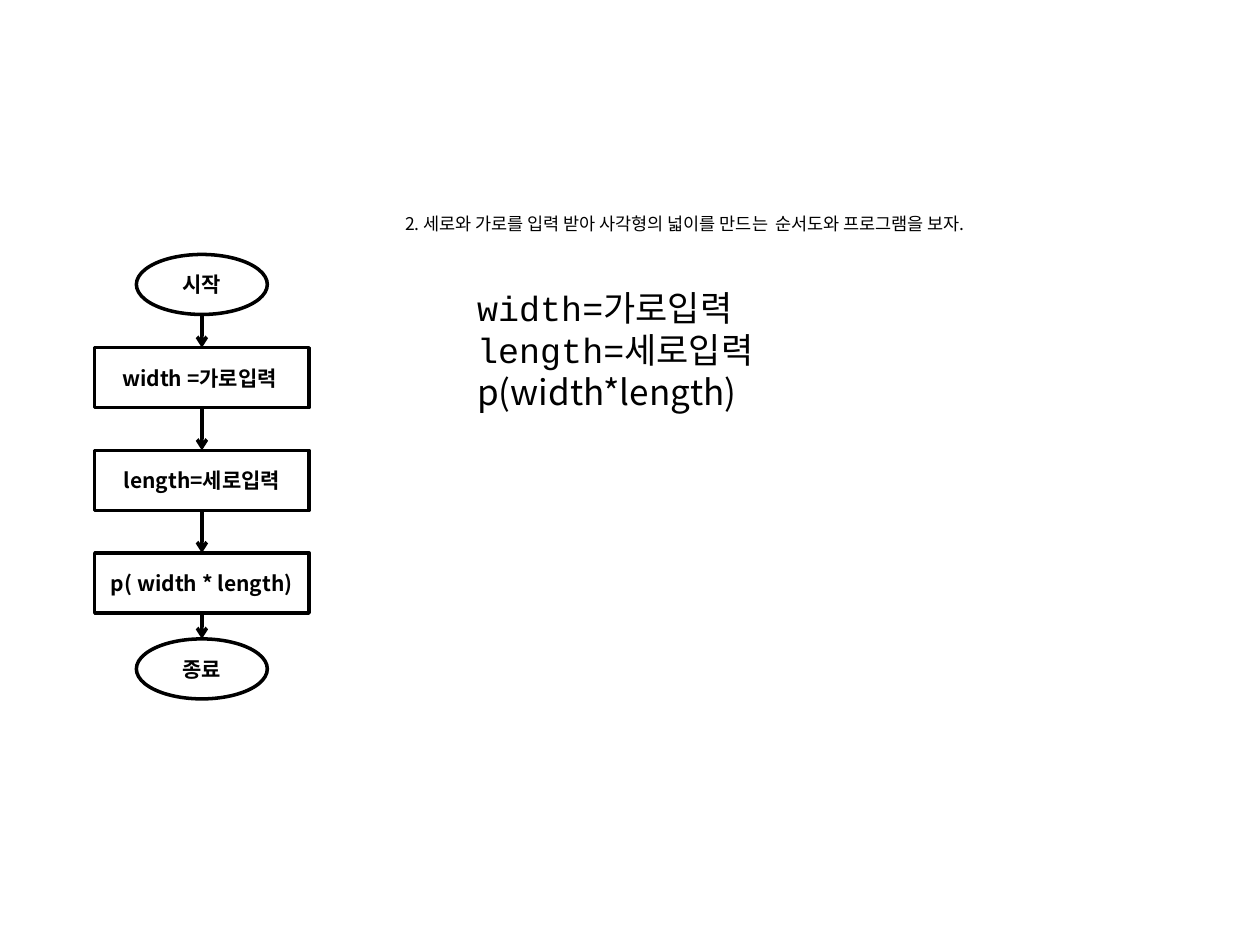
from lxml import etree
from pptx import Presentation
from pptx.dml.color import RGBColor
from pptx.enum.shapes import MSO_CONNECTOR, MSO_SHAPE
from pptx.enum.text import MSO_ANCHOR, PP_ALIGN
from pptx.oxml.ns import qn
from pptx.util import Cm, Pt

OVAL = MSO_SHAPE.OVAL
PROCESS = MSO_SHAPE.FLOWCHART_PROCESS
STRAIGHT = MSO_CONNECTOR.STRAIGHT
MIDDLE = MSO_ANCHOR.MIDDLE
CENTER = PP_ALIGN.CENTER

COLORS = {"ink": "000000"}
INK = RGBColor.from_string(COLORS["ink"])
KOREAN = "Noto Sans CJK KR"
MONO = "Courier New"


def write(para, text, size, name=KOREAN, bold=False):
    """Fill a paragraph and set its Latin and East Asian fonts."""
    para.text = text
    para.font.size = Pt(size)
    para.font.name = name
    para.font.bold = bold
    para.font.color.rgb = INK
    defaults = para._p.pPr.find(qn("a:defRPr"))
    latin = defaults.find(qn("a:latin"))
    east_asian = etree.Element(qn("a:ea"), typeface=KOREAN)
    latin.addnext(east_asian)


def add_text(page, left, top, width, height, lines, size):
    """Add a wrapped text box with one paragraph per (text, font) line."""
    box = page.shapes.add_textbox(Cm(left), Cm(top), Cm(width), Cm(height))
    frame = box.text_frame
    frame.word_wrap = True
    for index, (text, name) in enumerate(lines):
        para = frame.paragraphs[0] if index == 0 else frame.add_paragraph()
        write(para, text, size, name)
        para.line_spacing = Pt(size * 1.2)


deck = Presentation()
deck.slide_width = Cm(25.4)
deck.slide_height = Cm(19.05)
page = deck.slides.add_slide(deck.slide_layouts[6])

question = "2. 세로와 가로를 입력 받아 사각형의 넓이를 만드는\u00a0 순서도와 프로그램을 보자."
add_text(page, 7.92, 4.17, 13.28, 0.69, [(question, KOREAN)], 10)

# Flowchart: every step is centred on one axis
AXIS = 4.07
STEP_HEIGHT = 1.21
FIRST_PROCESS, PITCH = 7.01, 2.07
steps = [
    (OVAL, 5.13, 2.64, "시작"),
    (PROCESS, FIRST_PROCESS, 4.32, "width =가로입력 "),
    (PROCESS, FIRST_PROCESS + PITCH, 4.32, "length=세로입력"),
    (PROCESS, FIRST_PROCESS + 2 * PITCH, 4.32, "p( width * length)"),
    (OVAL, 12.88, 2.64, "종료"),
]
for kind, top, width, text in steps:
    step = page.shapes.add_shape(
        kind, Cm(AXIS - width / 2), Cm(top), Cm(width), Cm(STEP_HEIGHT))
    step.shadow.inherit = False
    step.fill.background()
    step.line.color.rgb = INK
    step.line.width = Pt(2)
    frame = step.text_frame
    frame.word_wrap = True
    frame.vertical_anchor = MIDDLE
    para = frame.paragraphs[0]
    para.alignment = CENTER
    write(para, text, 12, bold=True)

for (_, top, _, _), (_, next_top, _, _) in zip(steps, steps[1:]):
    arrow = page.shapes.add_connector(
        STRAIGHT, Cm(AXIS), Cm(top + STEP_HEIGHT), Cm(AXIS), Cm(next_top))
    arrow.line.color.rgb = INK
    arrow.line.width = Pt(2)
    outline = arrow.line._get_or_add_ln()
    etree.SubElement(outline, qn("a:tailEnd"), type="arrow")
    etree.SubElement(arrow._element.spPr, qn("a:effectLst"))

program = [
    ("width=가로입력", MONO),
    ("length=세로입력", MONO),
    ("p(width*length)", KOREAN),
]
add_text(page, 9.37, 5.66, 12.7, 2.82, program, 20)

deck.save("out.pptx")
